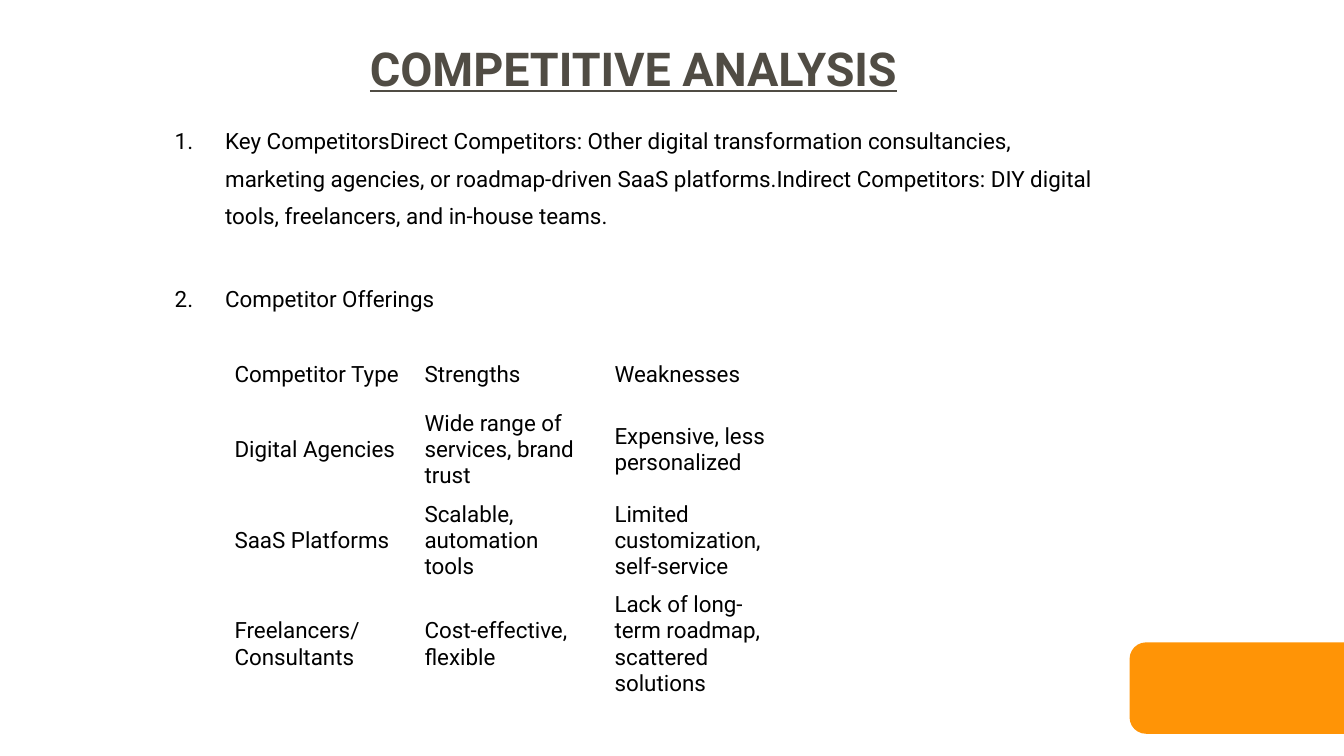
from lxml import etree
from pptx import Presentation, util as u
from pptx.dml import color
from pptx.enum import shapes, text
from pptx.oxml import ns

COLUMNS, ROWS = 100, 56.25
CELL = u.Inches(0.1)
INK, HEADING, ACCENT = "000000", "504C44", "FF9406"

FRAME = {
    "margin_left": 0,
    "margin_right": 0,
    "margin_top": 0,
    "margin_bottom": 0,
    "word_wrap": True,
    "auto_size": text.MSO_AUTO_SIZE.NONE,
    "vertical_anchor": text.MSO_ANCHOR.TOP,
}
PARAGRAPH = {
    "alignment": text.PP_ALIGN.LEFT,
    "line_spacing": 1.4,
    "space_before": u.Pt(0),
}
TITLE_FONT = {"name": "Roboto", "size": u.Pt(25), "bold": True, "underline": True}
BODY_FONT = {"name": "Roboto", "size": u.Pt(12), "bold": False}
TABLE_FORMAT = {"first_row": False, "horz_banding": False}

COMPETITORS = (
    "Key CompetitorsDirect Competitors: Other digital transformation consultancies, "
    "marketing agencies, or roadmap-driven SaaS platforms.Indirect Competitors: "
    "DIY digital tools, freelancers, and in-house teams."
)
OFFERINGS = [
    ("Competitor Type", "Strengths", "Weaknesses"),
    ("Digital Agencies", "Wide range of services, brand trust", "Expensive, less personalized"),
    ("SaaS Platforms", "Scalable, automation tools", "Limited customization, self-service"),
    ("Freelancers/Consultants", "Cost-effective, flexible",
     "Lack of long-term roadmap, scattered solutions"),
]
OFFERING_HEIGHTS = (4.4, 6.75, 6.75, 8.7)


def grid(*cells):
    return [u.Emu(round(cell * CELL)) for cell in cells]


def rgb(code):
    return color.RGBColor.from_string(code)


def apply(target, values):
    for key, value in values.items():
        setattr(target, key, value)


def write(paragraph, words, font, ink, layout):
    run = paragraph.add_run()
    run.text = words
    apply(run.font, font)
    run.font.color.rgb = rgb(ink)
    apply(paragraph, layout)


def number(paragraph):
    properties = paragraph._p.get_or_add_pPr()
    indent = u.Pt(27)
    properties.set("marL", str(indent))
    properties.set("indent", str(-indent))
    etree.SubElement(properties, ns.qn("a:buFont"), typeface="+mj-lt")
    etree.SubElement(properties, ns.qn("a:buAutoNum"), type="arabicPeriod")


def prepare(placeholder, area):
    apply(placeholder, dict(zip(("left", "top", "width", "height"), grid(*area))))
    apply(placeholder.text_frame, FRAME)
    return placeholder.text_frame


def add_accent(slide, area, rounding):
    accent = slide.shapes.add_shape(shapes.MSO_SHAPE.ROUNDED_RECTANGLE, *grid(*area))
    accent.adjustments[0] = rounding
    accent.shadow.inherit = False
    accent.fill.solid()
    accent.fill.fore_color.rgb = rgb(ACCENT)
    accent.line.fill.background()


def set_title(slide, area):
    frame = prepare(slide.shapes.title, area)
    write(frame.paragraphs[0], "COMPETITIVE ANALYSIS", TITLE_FONT, HEADING, PARAGRAPH)


def set_topics(slide, area):
    frame = prepare(slide.placeholders[1], area)
    competitors, offerings = frame.paragraphs[0], frame.add_paragraph()
    write(competitors, COMPETITORS, BODY_FONT, INK, PARAGRAPH)
    write(offerings, "Competitor Offerings", BODY_FONT, INK,
          {**PARAGRAPH, "space_before": u.Pt(24)})
    for topic in (competitors, offerings):
        number(topic)


def add_offerings(slide, left, top, column_width):
    area = grid(left, top, column_width * len(OFFERINGS[0]), sum(OFFERING_HEIGHTS))
    table = slide.shapes.add_table(len(OFFERINGS), len(OFFERINGS[0]), *area).table
    apply(table, TABLE_FORMAT)
    for column in table.columns:
        column.width = grid(column_width)[0]
    margin_x, margin_y = grid(0.8, 0.4)
    cell_format = {
        "vertical_anchor": text.MSO_ANCHOR.MIDDLE,
        "margin_left": margin_x,
        "margin_right": margin_x,
        "margin_top": margin_y,
        "margin_bottom": margin_y,
    }
    for row, height, entries in zip(table.rows, OFFERING_HEIGHTS, OFFERINGS):
        row.height = grid(height)[0]
        for cell, entry in zip(row.cells, entries):
            apply(cell, cell_format)
            cell.fill.background()
            write(cell.text_frame.paragraphs[0], entry, BODY_FONT, INK, {})


def main():
    deck = Presentation()
    deck.slide_width, deck.slide_height = grid(COLUMNS, ROWS)
    slide = deck.slides.add_slide(deck.slide_layouts[1])
    add_accent(slide, (84.05, 47.8, 17.6, 6.8), 0.18)
    set_title(slide, (27.52, 1.3, 74.1, 5.9))
    set_topics(slide, (13, 8.67, 69.3, 18.4))
    add_offerings(slide, 16.65, 25.7, 14.14)
    deck.save("out.pptx")


if __name__ == "__main__":
    main()
